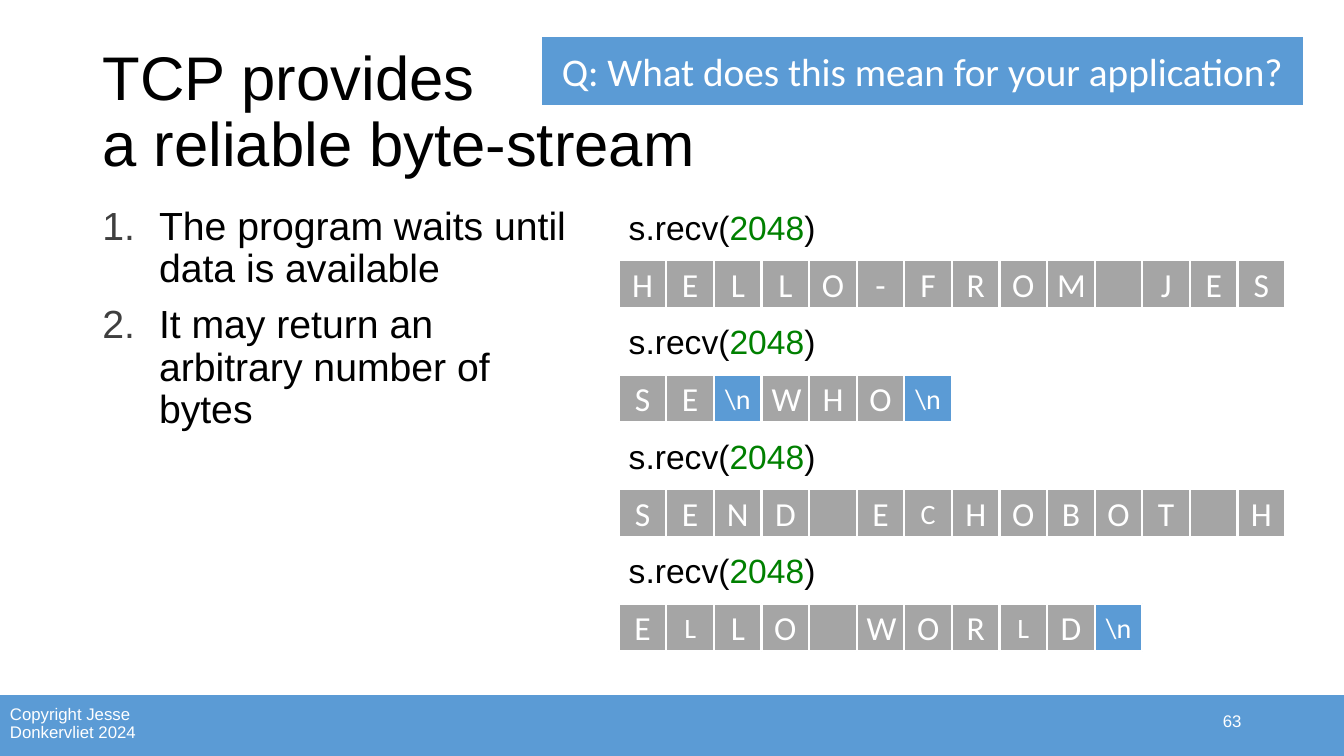
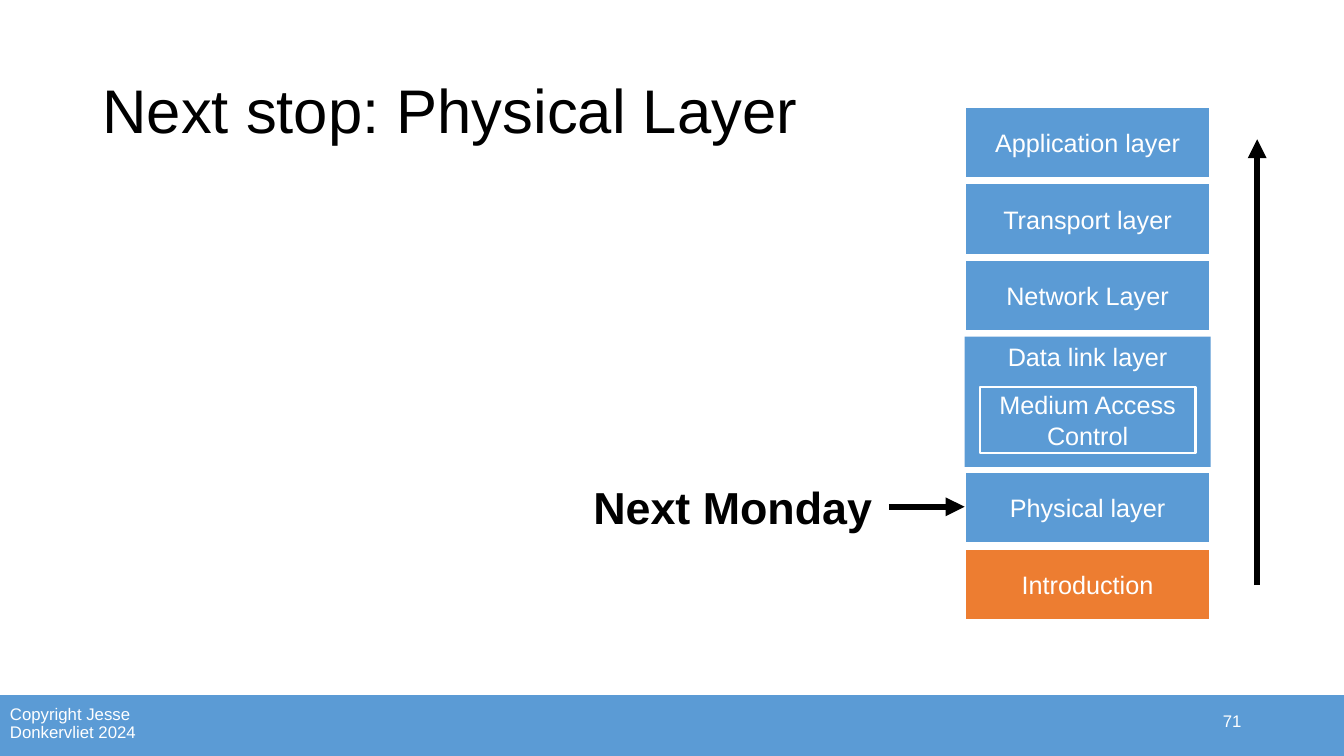
from dataclasses import dataclass

from lxml import etree
from pptx import Presentation
from pptx import util as u
from pptx.dml.color import RGBColor
from pptx.enum import shapes, text
from pptx.oxml.ns import qn

Pt = u.Pt


@dataclass(frozen=True)
class Theme:
    blue: str = "5B9BD5"
    gray: str = "A5A5A5"
    orange: str = "ED7D31"
    green: str = "008000"
    bullet: str = "3F3F3F"
    white: str = "FFFFFF"
    black: str = "000000"
    font: str = "Arial"
    box_font: str = "Calibri"
    title: int = 44
    callout: int = 32
    body: int = 28
    code: int = 24
    small_code: int = 20
    layer: int = 18
    footer: int = 12
    outline: float = 1.5
    arrow: float = 4.5


THEME = Theme()
LEFT, CENTER, RIGHT = text.PP_ALIGN.LEFT, text.PP_ALIGN.CENTER, text.PP_ALIGN.RIGHT
TOP, MIDDLE = text.MSO_ANCHOR.TOP, text.MSO_ANCHOR.MIDDLE

# Content
COPYRIGHT = "Copyright Jesse Donkervliet 2024"
STREAM_TITLE = "TCP provides\na reliable byte-stream"
QUESTION = "Q: What does this mean for your application?"
STEPS = [
    "The program waits until data is available",
    "It may return an arbitrary number of bytes",
]
RECEIVE_CALL = [("s.recv(", THEME.black), ("2048", THEME.green), (")", THEME.black)]
RECEIVED = [  # bytes, positions set in the smaller size
    ("HELLO-FROM JES", ()),
    ("SE\nWHO\n", ()),
    ("SEND ECHOBOT H", (6,)),
    ("ELLO WORLD\n", (1, 8)),
]
LAYERS_TITLE = "Next stop: Physical Layer"
LAYERS = [  # label, height, fill
    ("Application layer", 51, THEME.blue),
    ("Transport layer", 51, THEME.blue),
    ("Network Layer", 51, THEME.blue),
    ("Data link layer", 93, THEME.blue),
    ("Physical layer", 51, THEME.blue),
    ("Introduction", 51, THEME.orange),
]
SUBLAYER = "Medium Access Control"
NEXT_LAYER = "Physical layer"
NEXT_DATE = "Next Monday"


def rgb(value):
    return RGBColor.from_string(value)


def write(frame, paragraphs, *, size, color=THEME.black, font=THEME.font, bold=False,
          align=LEFT, anchor=TOP, line_spacing=1.0, space_before=0, numbered=False):
    """Fill a text frame; a paragraph is a string or a list of (text, color)."""
    frame.word_wrap = True
    frame.auto_size = text.MSO_AUTO_SIZE.NONE
    frame.vertical_anchor = anchor
    for index, content in enumerate(paragraphs):
        paragraph = frame.add_paragraph() if index else frame.paragraphs[0]
        if numbered:
            number_paragraph(paragraph)
        paragraph.alignment = align
        paragraph.line_spacing = line_spacing
        paragraph.space_before = Pt(space_before if index else 0)
        runs = [(content, color)] if isinstance(content, str) else content
        for run_text, run_color in runs:
            for line_index, line in enumerate(run_text.split("\n")):
                if line_index:
                    paragraph.add_line_break()
                run = paragraph.add_run()
                run.text = line
                run.font.name, run.font.size, run.font.bold = font, Pt(size), bold
                run.font.color.rgb = rgb(run_color)


def number_paragraph(paragraph):
    properties = paragraph._p.get_or_add_pPr()
    properties.set("marL", str(Pt(40.5)))
    properties.set("indent", str(-Pt(40.5)))
    bullet_color = etree.SubElement(properties, qn("a:buClr"))
    etree.SubElement(bullet_color, qn("a:srgbClr"), val=THEME.bullet)
    etree.SubElement(properties, qn("a:buFont"), typeface=THEME.font)
    etree.SubElement(properties, qn("a:buAutoNum"), type="arabicPeriod")


def add_text(slide, box, paragraphs, **style):
    shape = slide.shapes.add_textbox(*map(Pt, box))
    write(shape.text_frame, paragraphs, **style)
    return shape


def add_box(slide, box, label="", *, fill=THEME.blue, outlined=True, **style):
    shape = slide.shapes.add_shape(shapes.MSO_SHAPE.RECTANGLE, *map(Pt, box))
    shape.shadow.inherit = False
    shape.fill.solid()
    shape.fill.fore_color.rgb = rgb(fill)
    if outlined:
        shape.line.color.rgb = rgb(THEME.white)
        shape.line.width = Pt(THEME.outline)
    else:
        shape.line.fill.background()
    if label:
        write(shape.text_frame, [label],
              **{"color": THEME.white, "align": CENTER, "anchor": MIDDLE, **style})
    return shape


def add_arrow(slide, start, end):
    arrow = slide.shapes.add_connector(
        shapes.MSO_CONNECTOR.STRAIGHT, *map(Pt, (*start, *end)))
    arrow.line.color.rgb = rgb(THEME.black)
    arrow.line.width = Pt(THEME.arrow)
    properties = arrow.element.spPr
    etree.SubElement(properties.find(qn("a:ln")), qn("a:tailEnd"), type="triangle")
    etree.SubElement(properties, qn("a:effectLst"))


def add_footer(slide):
    """Place the band and copyright on the layout that all slides use."""
    band = add_box(slide, (0, 496.5, 960, 43.5), outlined=False)
    notice = add_text(slide, (0, 499, 106, 36), [COPYRIGHT], size=THEME.footer,
                      color=THEME.white, anchor=MIDDLE, line_spacing=0.9)
    for shape in (band, notice):
        slide.slide_layout.shapes.element.append(shape.element)


def add_slide(presentation, title, number):
    slide = presentation.slides.add_slide(presentation.slide_layouts[5])
    if len(presentation.slides) == 1:
        add_footer(slide)
    heading = slide.shapes.title
    heading.left, heading.top, heading.width, heading.height = map(Pt, (66, 28.75, 828, 104.4))
    write(heading.text_frame, [title], size=THEME.title, anchor=MIDDLE, line_spacing=0.9)
    add_text(slide, (678, 500.5, 216, 28.75), [number], size=THEME.footer,
             color=THEME.white, align=RIGHT, anchor=MIDDLE)
    return slide


def build_stream_slide(presentation):
    slide = add_slide(presentation, STREAM_TITLE, "63")
    add_text(slide, (66, 143.75, 356.5, 342.5), STEPS, size=THEME.body,
             line_spacing=0.9, space_before=10, numbered=True)
    add_box(slide, (386.25, 26, 545, 49.5), QUESTION, size=THEME.body, font=THEME.box_font)

    # Each call, with the bytes it returns below
    left, top, row_pitch, cell = 442, 144, 81.8, 34
    for row, (received, small) in enumerate(RECEIVED):
        row_top = top + row * row_pitch
        add_text(slide, (left, row_top, 190, 36), [RECEIVE_CALL], size=THEME.code)
        for column, byte in enumerate(received):
            newline = byte == "\n"
            add_box(slide, (left + column * cell, row_top + 41.75, cell, cell),
                    r"\n" if newline else byte.strip(),
                    fill=THEME.blue if newline else THEME.gray,
                    size=THEME.small_code if newline or column in small else THEME.code,
                    font=THEME.box_font)


def build_layers_slide(presentation):
    slide = add_slide(presentation, LAYERS_TITLE, "71")
    left, top, width, gap = 689, 76.25, 175.75, 3.75

    # Layer stack
    for label, height, fill in LAYERS:
        holds_sublayer = label == "Data link layer"
        add_box(slide, (left, top, width, height), label, fill=fill, size=THEME.layer,
                outlined=not holds_sublayer, anchor=TOP if holds_sublayer else MIDDLE)
        if holds_sublayer:
            add_box(slide, (left + 10.75, top + 36, width - 21.5, 47), SUBLAYER,
                    size=THEME.layer)
        if label == NEXT_LAYER:
            middle = top + height / 2 - 0.75
            add_text(slide, (412, middle - 25.5, 223, 51), [NEXT_DATE], bold=True,
                     size=THEME.callout, align=CENTER, anchor=MIDDLE)
            add_arrow(slide, (635, middle), (left, middle))
        top += height + gap

    # Reading direction, bottom to top
    add_arrow(slide, (898, 418), (898, 99.5))


def main():
    presentation = Presentation()
    presentation.slide_width, presentation.slide_height = Pt(960), Pt(540)
    build_stream_slide(presentation)
    build_layers_slide(presentation)
    presentation.save("out.pptx")


if __name__ == "__main__":
    main()
